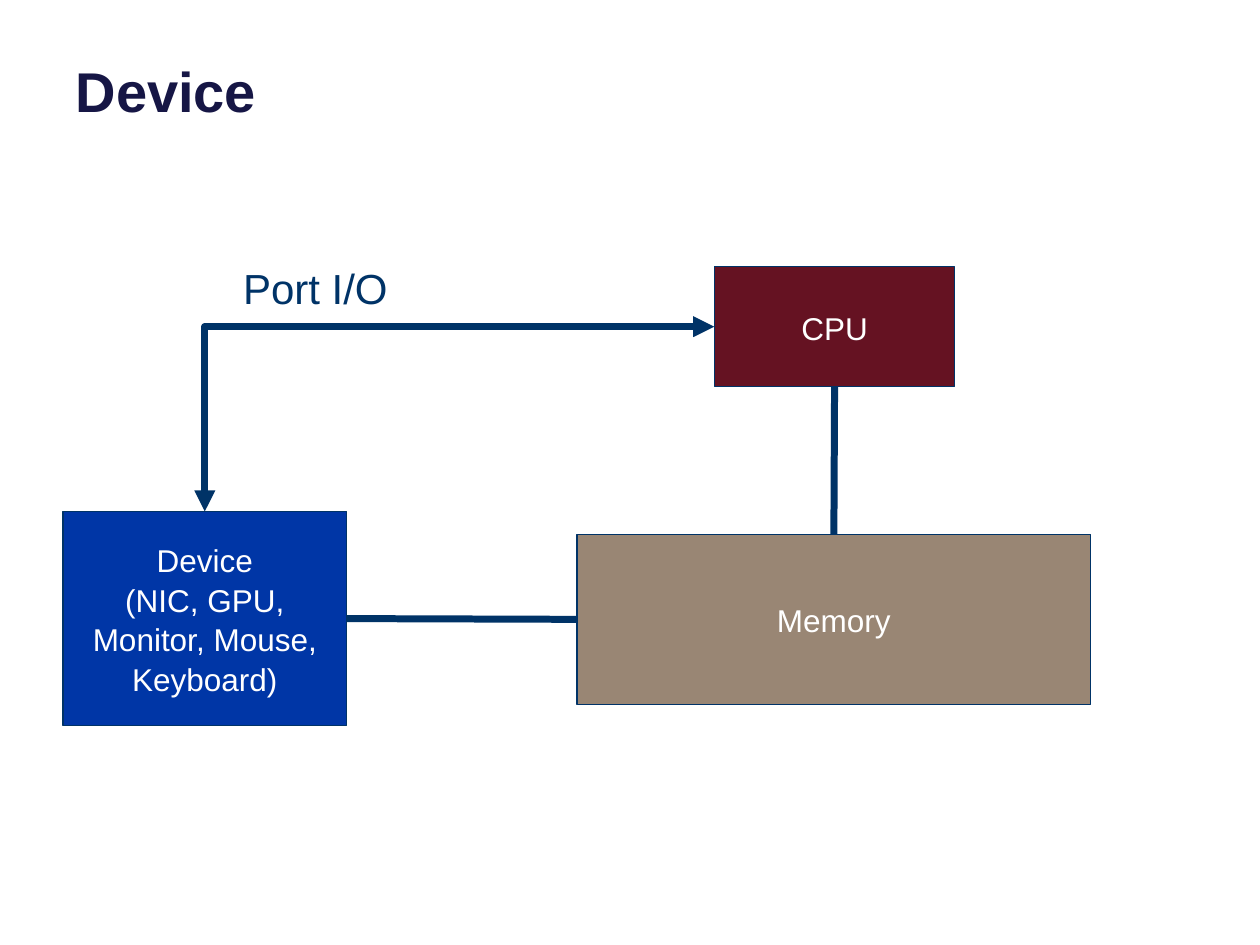
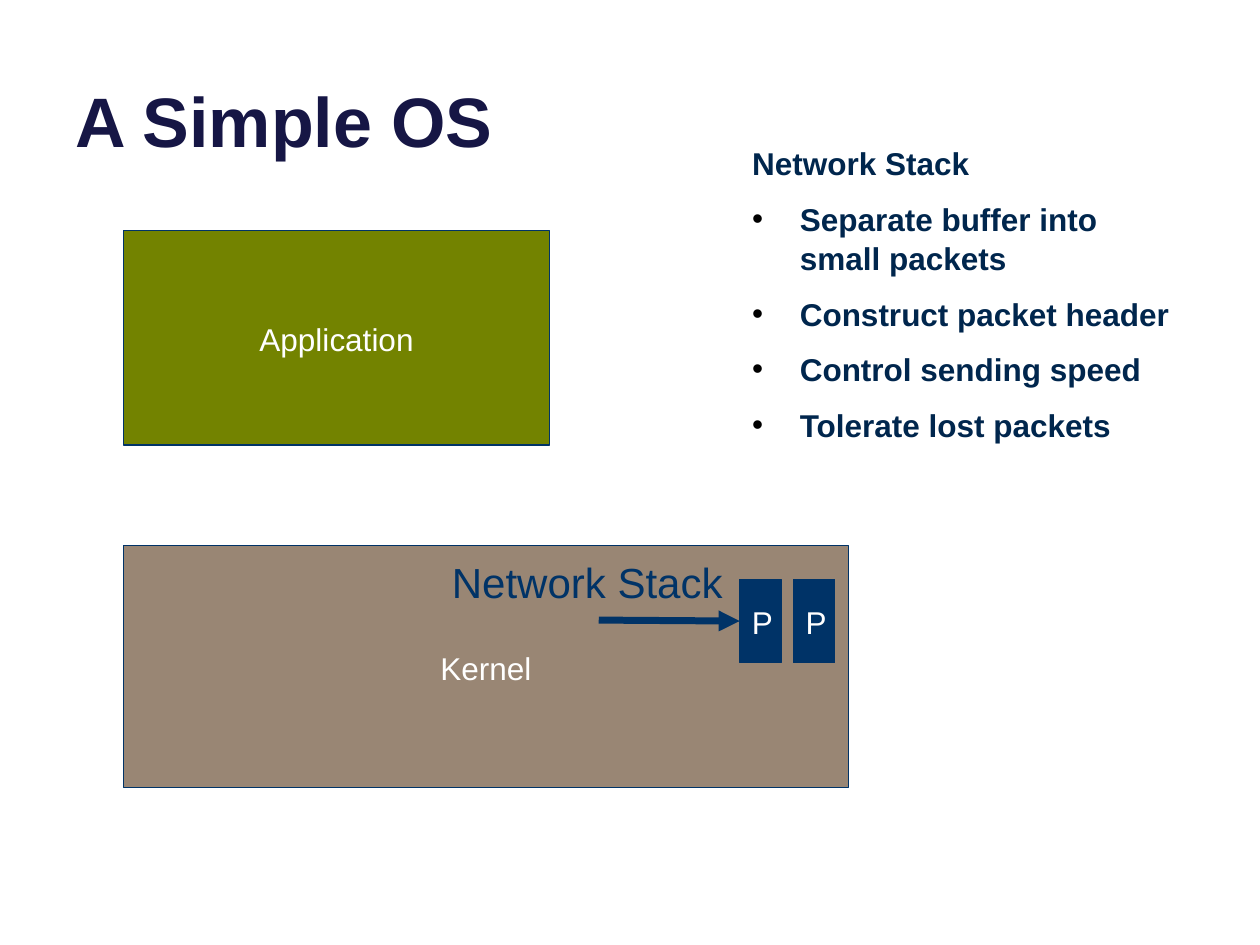
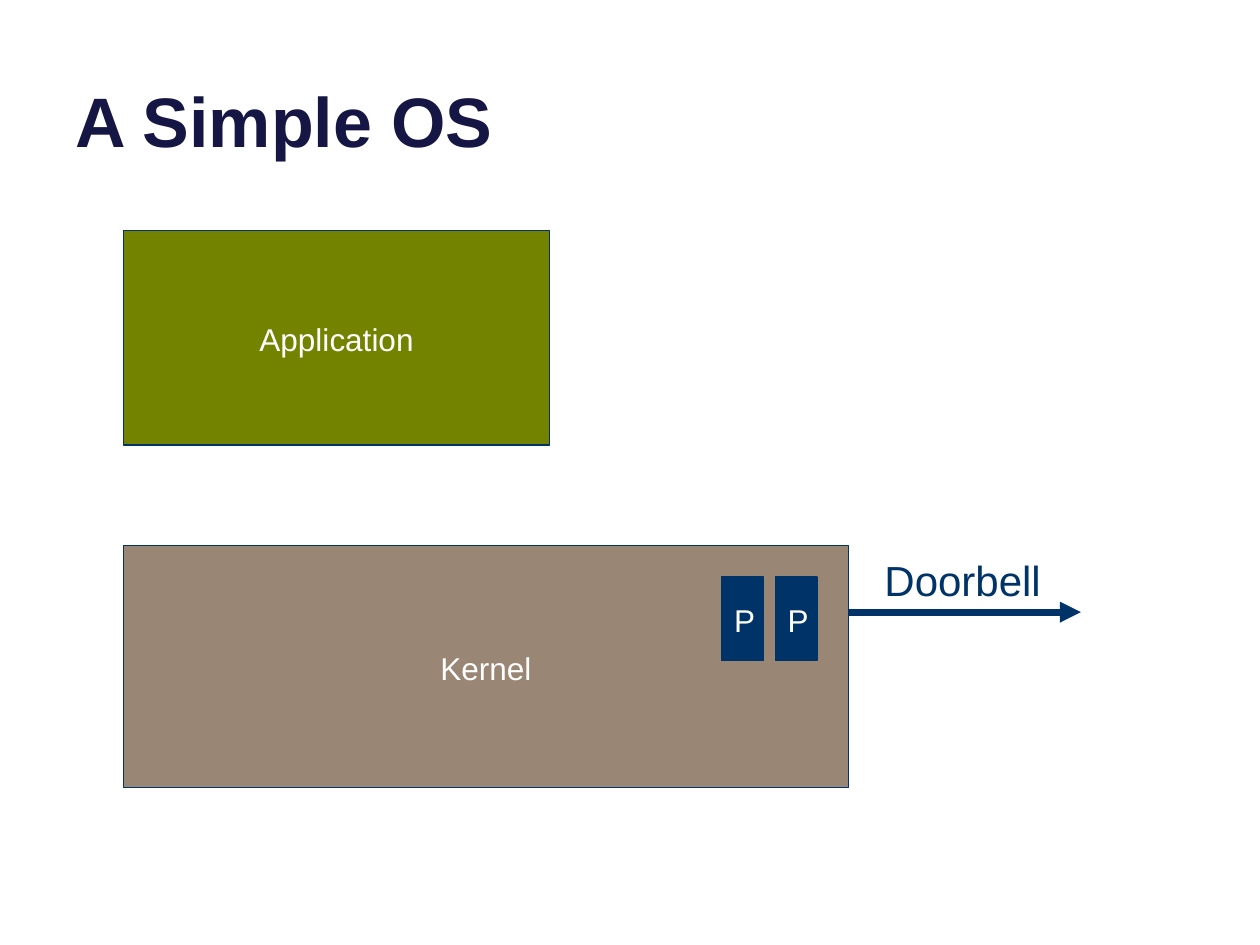
from lxml import etree
from pptx import Presentation
from pptx.dml.color import RGBColor
from pptx.enum import shapes, text
from pptx.oxml.ns import qn
from pptx.util import Cm, Pt

NAVY, WHITE, BLACK = "003367", "FFFFFF", "000000"
TITLE_INK, BODY_INK = "161645", "00264D"
MAROON, TAUPE, BLUE, OLIVE = "651222", "998674", "0036A6", "738300"
TOP, LEFT, BOTTOM, RIGHT = range(4)  # connection sites of a rectangle
TITLE_ONLY, TITLE_AND_BODY = 5, 1


def color(value):
    return RGBColor.from_string(value)


def place(shape, left, top, width, height):
    shape.left, shape.top = Cm(left), Cm(top)
    shape.width, shape.height = Cm(width), Cm(height)


class Slides:
    font = "Arial"
    line_spacing = 1.05

    def __init__(self):
        self.deck = Presentation()
        self.deck.slide_width, self.deck.slide_height = Cm(25.4), Cm(19.05)
        self.page = None

    def add_words(self, para, words, size, ink, bold=False, align=text.PP_ALIGN.LEFT):
        para.alignment = align
        para.line_spacing = self.line_spacing
        span = para.add_run()
        span.text = words
        span.font.name, span.font.size, span.font.bold = self.font, Pt(size), bold
        span.font.color.rgb = color(ink)

    def start(self, title, size, top, layout=TITLE_ONLY):
        self.page = self.deck.slides.add_slide(self.deck.slide_layouts[layout])
        box = self.page.shapes.title
        place(box, 1.27, top, 22.86, 4.32)
        frame = box.text_frame
        frame.auto_size = text.MSO_AUTO_SIZE.NONE
        frame.vertical_anchor = text.MSO_ANCHOR.BOTTOM
        self.add_words(frame.paragraphs[0], title, size, TITLE_INK, bold=True)
        frame.paragraphs[0].line_spacing = 1.0

    def block(self, lines, fill, *bounds):
        box = self.page.shapes.add_shape(
            shapes.MSO_SHAPE.RECTANGLE, *map(Cm, bounds))
        box.shadow.inherit = False
        box.fill.solid()
        box.fill.fore_color.rgb = color(fill)
        box.line.color.rgb = color(NAVY)
        box.line.width = Pt(0.75)
        frame = box.text_frame
        frame.word_wrap = True
        frame.vertical_anchor = text.MSO_ANCHOR.MIDDLE
        for index, words in enumerate(lines.split("\n")):
            para = frame.add_paragraph() if index else frame.paragraphs[0]
            self.add_words(para, words, 18, WHITE, align=text.PP_ALIGN.CENTER)
        return box

    def label(self, words, *bounds):
        frame = self.page.shapes.add_textbox(*map(Cm, bounds)).text_frame
        frame.word_wrap = False
        frame.auto_size = text.MSO_AUTO_SIZE.SHAPE_TO_FIT_TEXT
        self.add_words(frame.paragraphs[0], words, 24, NAVY)

    def line(self, start=(0, 0), end=(0, 0), arrows=(), kind=shapes.MSO_CONNECTOR.STRAIGHT):
        """Draw a line; arrows names the ends (headEnd, tailEnd) that get a triangle."""
        wire = self.page.shapes.add_connector(kind, *map(Cm, start + end))
        wire.line.color.rgb = color(NAVY)
        wire.line.width = Pt(4)
        outline = wire.element.spPr.find(qn("a:ln"))
        for name in arrows:
            etree.SubElement(outline, qn(f"a:{name}"), type="triangle")
        etree.SubElement(wire.element.spPr, qn("a:effectLst"))
        return wire

    def link(self, first, first_site, second, second_site):
        wire = self.line()
        wire.begin_connect(first, first_site)
        wire.end_connect(second, second_site)

    def corner_link(self, first, second):
        """Join the left of one shape to the top of another by a two-headed bend."""
        start = (first.left.cm, first.top.cm + first.height.cm / 2)
        end = (second.left.cm + second.width.cm / 2, second.top.cm)
        wire = self.line(start, end, ("headEnd", "tailEnd"), shapes.MSO_CONNECTOR.ELBOW)
        wire.element.spPr.find(qn("a:prstGeom")).set("prst", "bentConnector2")
        wire.begin_connect(first, LEFT)
        wire.end_connect(second, TOP)

    def bullet_list(self, heading, items, *bounds):
        box = self.page.placeholders[1]
        place(box, *bounds)
        frame = box.text_frame
        frame.auto_size = text.MSO_AUTO_SIZE.NONE
        for index, words in enumerate([heading, *items]):
            para = frame.add_paragraph() if index else frame.paragraphs[0]
            props = para._p.get_or_add_pPr()
            indent = Cm(0.96) if index else 0
            props.set("marL", str(indent))
            props.set("indent", str(-indent))
            if index:
                tint = etree.SubElement(props, qn("a:buClr"))
                etree.SubElement(tint, qn("a:srgbClr"), val=BLACK)
                etree.SubElement(props, qn("a:buChar"), char="•")
            else:
                etree.SubElement(props, qn("a:buNone"))
            para.space_before = Pt(9 if index else 0)
            self.add_words(para, words, 18, BODY_INK, bold=True)

    def simple_os(self, packets_left, packets_top, layout=TITLE_ONLY):
        """Start a slide with the application, the kernel and two packets."""
        self.start("A Simple OS", 40, -0.94, layout)
        self.block("Kernel", TAUPE, 2.49, 11, 14.61, 4.88)
        self.block("Application", OLIVE, 2.49, 4.65, 8.59, 4.32)
        for index in range(2):
            self.block("P", NAVY, packets_left + index * 1.08, packets_top, 0.84, 1.68)


def device_slide(slides):
    slides.start("Device", 32, -1.7)
    cpu = slides.block("CPU", MAROON, 14.4, 5.38, 4.85, 2.41)
    memory = slides.block("Memory", TAUPE, 11.63, 10.77, 10.36, 3.43)
    device = slides.block("Device\n(NIC, GPU, Monitor, Mouse, Keyboard)", BLUE,
                          1.27, 10.31, 5.72, 4.32)
    slides.link(device, RIGHT, memory, LEFT)
    slides.link(cpu, BOTTOM, memory, TOP)
    slides.corner_link(cpu, device)
    slides.label("Port I/O", 4.65, 5.11, 3.45, 1.27)


def network_stack_slide(slides):
    slides.simple_os(14.91, 11.68, TITLE_AND_BODY)
    slides.line((14.91, 12.52), (12.07, 12.5), ["headEnd"])
    slides.label("Network Stack", 8.86, 11.05, 6.02, 1.27)
    slides.bullet_list("Network Stack", [
        "Separate buffer into small packets",
        "Construct packet header",
        "Control sending speed",
        "Tolerate lost packets",
    ], 14.91, 2.74, 9.22, 6.4)


def doorbell_slide(slides):
    slides.simple_os(14.55, 11.63)
    slides.line((21.79, 12.34), (17.12, 12.34), ["headEnd"])
    slides.label("Doorbell", 17.58, 11, 3.71, 1.27)


def main():
    slides = Slides()
    device_slide(slides)
    network_stack_slide(slides)
    doorbell_slide(slides)
    slides.deck.save("out.pptx")


if __name__ == "__main__":
    main()
